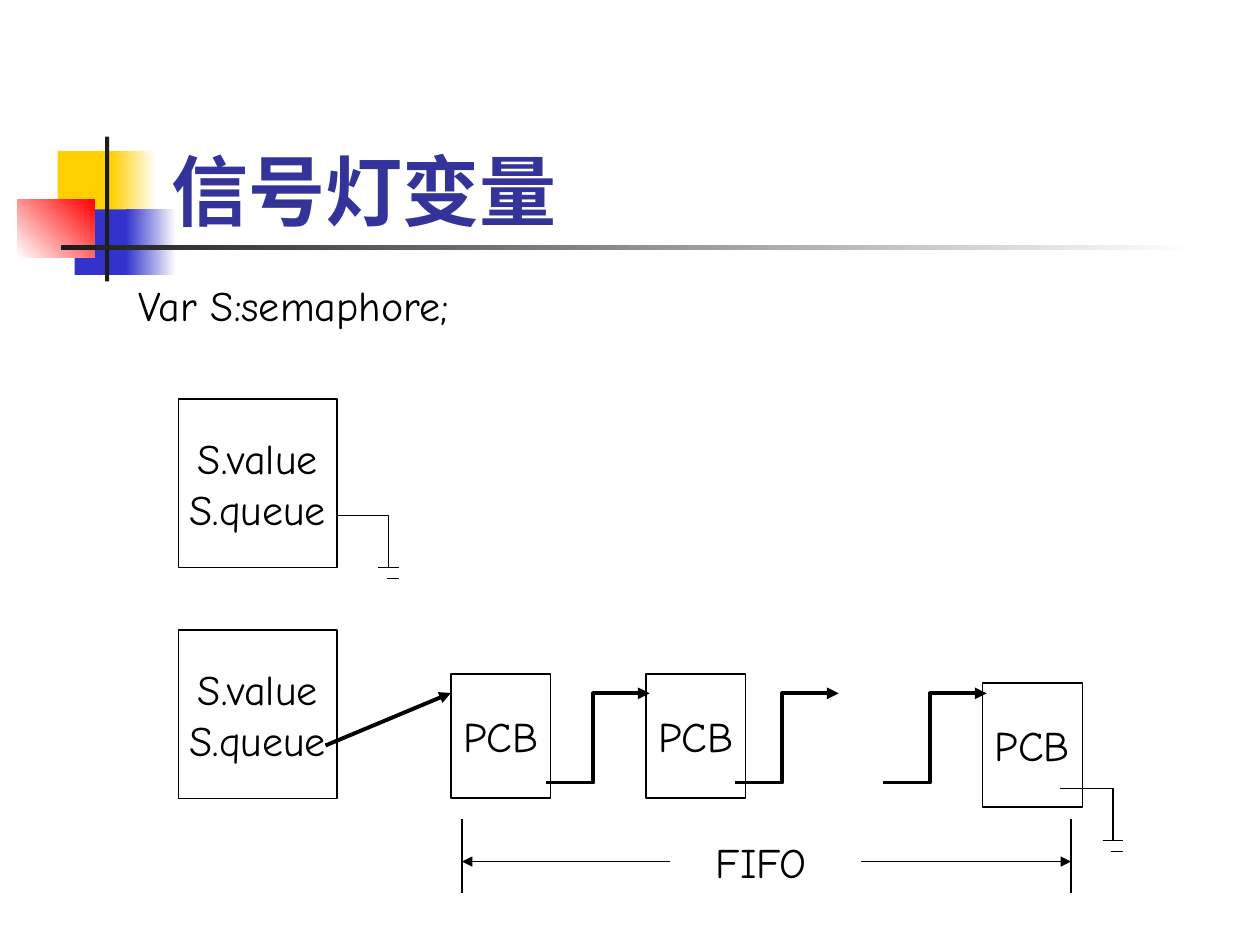
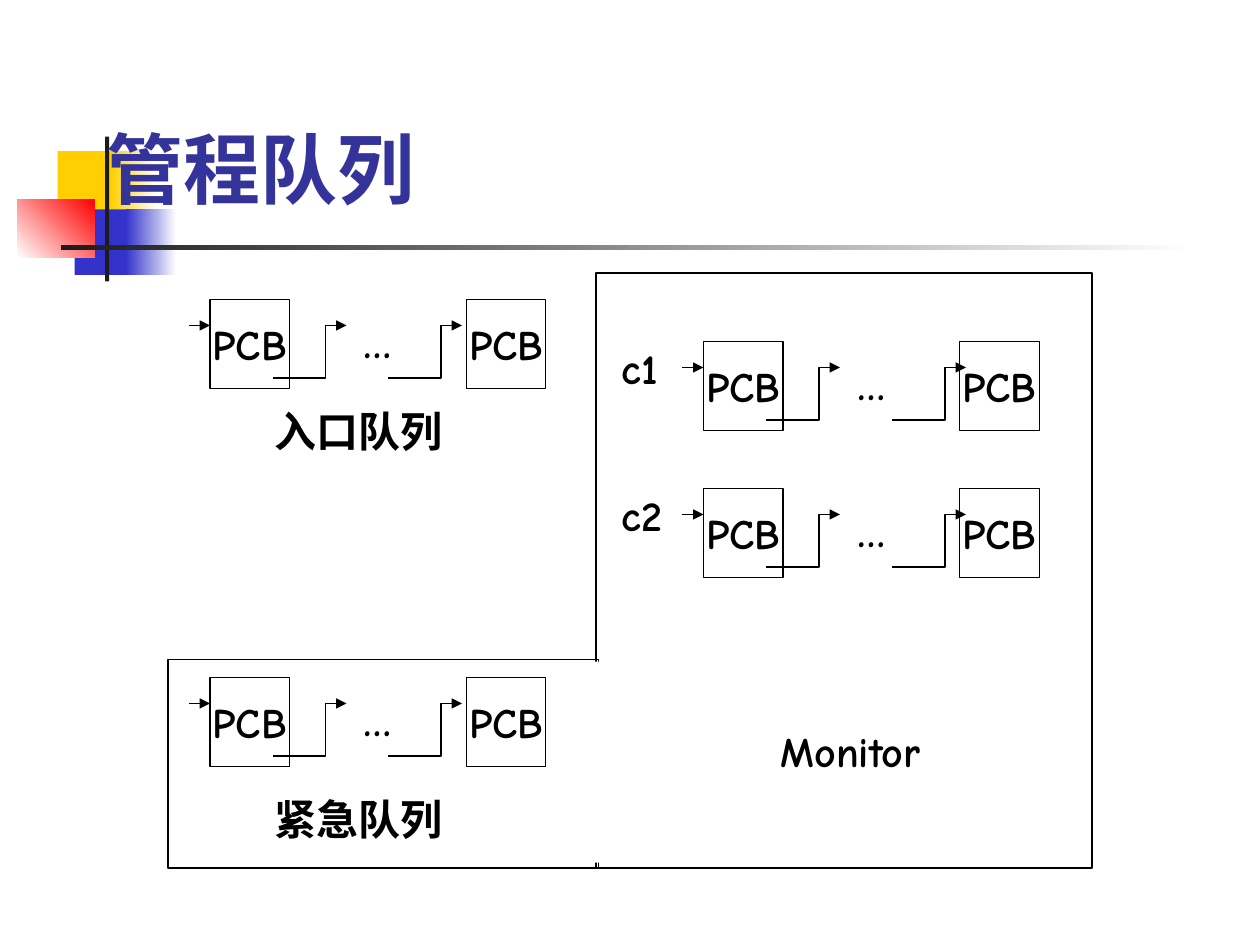
from lxml import etree
from pptx import Presentation
from pptx import util as u
from pptx.dml.color import RGBColor
from pptx.enum import shapes as es, text as et
from pptx.oxml import ns

INK, WHITE, DARK = "000000", "FFFFFF", "1C1C1C"
GOLD, BLUE, RED, NAVY = "FFCF01", "3333CC", "FF0000", "333399"
HEAD, BODY = "Lato", "Comic Neue"
THIN, BOLD = 0.75, 2.25
PCB = "PCB"


def tint(code):
    return RGBColor.from_string(code)


def write(shape, lines, size=24, font=BODY, color=INK, bold=False,
          align=et.PP_ALIGN.LEFT, anchor=et.MSO_ANCHOR.TOP, wrap=True, gap=0):
    frame = shape.text_frame
    frame.word_wrap = wrap
    frame.vertical_anchor = anchor
    for i, line in enumerate(lines):
        par = frame.add_paragraph() if i else frame.paragraphs[0]
        par.text = line
        par.alignment = align
        par.space_before = u.Pt(gap)
        par.font.size = u.Pt(size)
        par.font.name = font
        par.font.bold = bold
        par.font.color.rgb = tint(color)


def center(shape, lines, bold=False):
    write(shape, lines, bold=bold, align=et.PP_ALIGN.CENTER,
          anchor=et.MSO_ANCHOR.MIDDLE, wrap=False)


def field(slide, x, y, w, h):
    return slide.shapes.add_textbox(u.Pt(x), u.Pt(y), u.Pt(w), u.Pt(h))


def label(slide, x, y, w, words, bold=False):
    write(field(slide, x, y, w, 36), [words], bold=bold, gap=15)


def block(slide, x, y, w, h, fill=None, fade=None, angle=0):
    """Rectangle: plain fill, gradient from fill to fade, or thin outline."""
    shape = slide.shapes.add_shape(es.MSO_SHAPE.RECTANGLE,
                                   u.Pt(x), u.Pt(y), u.Pt(w), u.Pt(h))
    shape.shadow.inherit = False
    if fade:
        shape.fill.gradient()
        shape.fill.gradient_angle = angle
        for stop, code in zip(shape.fill.gradient_stops, (fill, fade)):
            stop.color.rgb = tint(code)
    elif fill:
        shape.fill.solid()
        shape.fill.fore_color.rgb = tint(fill)
    else:
        shape.fill.background()
    if fill:
        shape.line.fill.background()
    else:
        stroke(shape)
    return shape


def stroke(shape, width=THIN, arrow=False):
    shape.line.width = u.Pt(width)
    shape.line.color.rgb = tint(INK)
    if arrow:
        ln = shape._element.spPr.find(ns.qn("a:ln"))
        etree.SubElement(ln, ns.qn("a:tailEnd"), type="triangle")


def rule(slide, x1, y1, x2, y2, width=THIN, arrow=False):
    line = slide.shapes.add_connector(es.MSO_CONNECTOR.STRAIGHT,
                                      u.Pt(x1), u.Pt(y1), u.Pt(x2), u.Pt(y2))
    stroke(line, width, arrow)
    etree.SubElement(line._element.spPr, ns.qn("a:effectLst"))


def bend(slide, points, width=THIN, arrow=False):
    spots = [(u.Pt(x), u.Pt(y)) for x, y in points]
    form = slide.shapes.build_freeform(*spots[0])
    form.add_line_segments(spots[1:], close=False)
    shape = form.convert_to_shape()
    shape.shadow.inherit = False
    shape.fill.background()
    stroke(shape, width, arrow)


def step(slide, x, y, run, rise, tip, width=THIN):
    """Stepped arrow: right by run, up by rise, right by tip."""
    bend(slide, [(x, y), (x + run, y), (x + run, y - rise),
                 (x + run + tip, y - rise)], width, True)


def base(deck, title, x, y, w):
    """New slide with the corner ornament and its title."""
    slide = deck.slides.add_slide(deck.slide_layouts[6])
    block(slide, 33, 86.4, 34.5, 37.5, GOLD)
    block(slide, 63.4, 86.4, 26, 37.5, GOLD, WHITE)
    block(slide, 42.6, 119.6, 33, 37.5, BLUE)
    block(slide, 72, 119.6, 28.8, 37.5, BLUE, WHITE)
    block(slide, 10, 113.8, 44, 33.3, WHITE, RED, 45)
    block(slide, 60, 78, 2.4, 82.8, DARK)
    block(slide, 34.8, 140.2, 648, 2.5, DARK, WHITE)
    write(field(slide, x, y, w, 90), [title], 44, HEAD, NAVY, True,
          anchor=et.MSO_ANCHOR.BOTTOM)
    return slide


def record(slide, x, y):
    center(block(slide, x, y, 90.7, 96.5), ["S.value", "S.queue"])


def ground(slide, x, y):
    """Null pointer: bent lead and two short bars."""
    bend(slide, [(x, y), (x + 30, y), (x + 30, y + 30)])
    rule(slide, x + 24, y + 30, x + 36, y + 30)
    rule(slide, x + 29, y + 36, x + 36, y + 36)


def chain(slide, x, y):
    """Semaphore record whose queue points to a list of PCBs."""
    record(slide, x, y)
    for dx, dy in ((155.7, 25.2), (267.2, 25.2), (459.4, 30.4)):
        center(block(slide, x + dx, y + dy, 57, 70.8), [PCB])
    for dx in (210, 318, 402.5):
        step(slide, x + dx, y + 87.2, 27, 51, 32.3, BOLD)
    rule(slide, x + 84, y + 66, x + 155.7, y + 36, BOLD, True)
    ground(slide, x + 504, y + 90.5)


def span(slide, x, y, w, words):
    """Dimension line with its label in the middle."""
    for edge in (x, x + w):
        rule(slide, edge, y, edge, y + 42.5)
    rule(slide, x + w - 120, y + 24.3, x + w, y + 24.3, arrow=True)
    rule(slide, x + 119, y + 24.3, x, y + 24.3, arrow=True)
    label(slide, x + 138, y + 6.5, 84, words)


def queue(slide, x, y, shift):
    """PCB queue; x, y is where its entry arrow starts."""
    for dx in (12, 158.5):
        center(block(slide, x + dx, y - 15, 45.4, 51), [PCB], True)
    for dx in (48, shift):
        step(slide, x + dx, y + 30, 30, 30, 12)
    center(field(slide, x + 90, y, 36, 18), ["…"], True)
    rule(slide, x, y, x + 12, y, arrow=True)


def signal(deck):
    slide = base(deck, "信号灯变量", 90.7, 48.2, 613.4)
    label(slide, 72, 156, 510, "Var S:semaphore;")
    record(slide, 102, 228)
    ground(slide, 192, 294.5)
    chain(slide, 102, 360)
    span(slide, 264, 468, 348, "FIFO")


def monitor(deck):
    slide = base(deck, "管程队列", 54, 36, 612)
    # Monitor outline with an open joint between its two rooms
    block(slide, 96, 377, 246, 119)
    block(slide, 340.5, 156, 283.5, 340)
    # Condition queues
    for name, y in (("c1", 210), ("c2", 294)):
        queue(slide, 390, y, 120)
        label(slide, 348, y - 18, 48, name, True)
    # Entry and urgent queues
    for name, y, top in (("入口队列", 186, 228), ("紧急队列", 402, 450)):
        queue(slide, 108, y, 114)
        label(slide, 150, top, 120, name, True)
    center(field(slide, 402, 408, 168, 42), ["Monitor"], True)
    block(slide, 336, 378, 12, 115, WHITE)


def main():
    deck = Presentation()
    deck.slide_width, deck.slide_height = u.Pt(720), u.Pt(540)
    signal(deck)
    monitor(deck)
    deck.save("out.pptx")


if __name__ == "__main__":
    main()
